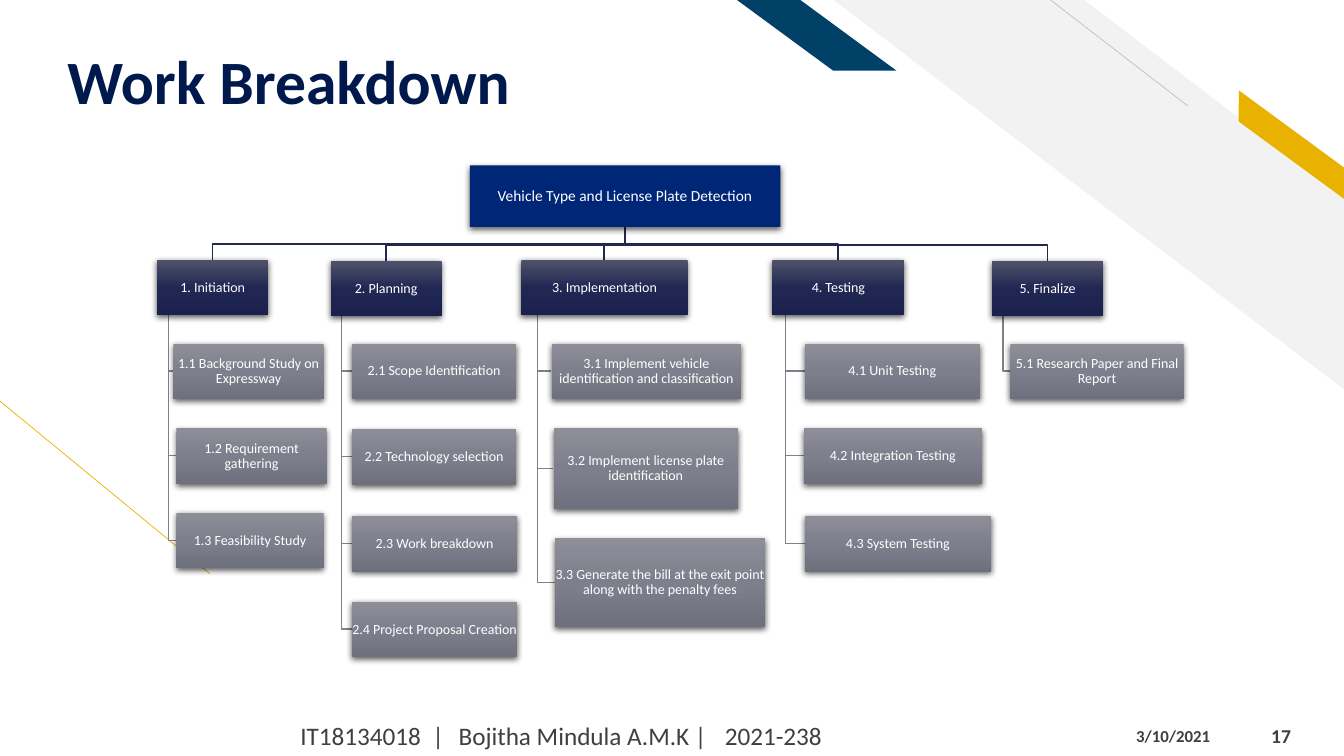
import copy
import pptx
import pptx.util
import pptx.dml.color
import pptx.enum.shapes
import pptx.enum.text
import pptx.oxml
import pptx.oxml.ns

PX = 9144  # EMU per px, 100 px to the inch
SHAPE = pptx.enum.shapes.MSO_SHAPE
ALIGN = pptx.enum.text.PP_ALIGN
ANCHOR = pptx.enum.text.MSO_ANCHOR
qn = pptx.oxml.ns.qn

TITLE = ("Work Breakdown", (57, 23, 1185, 94))
PROJECT = ("Vehicle Type and License Plate Detection", (466, 164, 308, 61))

# Each branch: name, box, then its tasks as (name, box); boxes are x, y, w, h
BRANCHES = [
    ("1. Initiation", (156, 258, 110, 55), [
        ("1.1 Background Study on Expressway", (172, 341, 149, 55)),
        ("1.2 Requirement gathering", (175, 425, 149, 55)),
        ("1.3 Feasibility Study", (175, 509, 146, 55))]),
    ("2. Planning", (328, 259, 110, 55), [
        ("2.1 Scope Identification", (349, 341, 163, 55)),
        ("2.2 Technology selection", (349, 426, 163, 55)),
        ("2.3 Work breakdown", (349, 512, 164, 55)),
        ("2.4 Project Proposal Creation", (349, 597, 164, 55))]),
    ("3. Implementation", (517, 258, 165, 55), [
        ("3.1 Implement vehicle identification and classification", (547, 341, 188, 55)),
        ("3.2 Implement license plate identification", (549, 425, 183, 80)),
        ("3.3 Generate the bill at the exit point along with the penalty fees",
         (550, 534, 209, 88))]),
    ("4. Testing", (766, 258, 131, 55), [
        ("4.1 Unit Testing", (798, 341, 174, 55)),
        ("4.2 Integration Testing", (797, 425, 177, 55)),
        ("4.3 System Testing", (798, 512, 185, 55))]),
    ("5. Finalize", (984, 259, 110, 55), [
        ("5.1 Research Paper and Final Report", (1002, 341, 172, 55))]),
]

AUTHOR = ("IT18134018\t|\tBojitha Mindula A.M.K |\t2021-238", (288, 710, 745, 40))
AUTHOR_TABS = [131, 157, 421]
DATE = ("3/10/2021", (1117, 715, 125, 30))
PAGE = ("17", (1251, 710, 74, 40))

# shape, box, rotation, adjustment, colour
STRIPES = [
    (SHAPE.DIAGONAL_STRIPE, (827, 0, 507, 387), 0, 0.51, "F2F2F2"),
    (SHAPE.PARALLELOGRAM, (1207, 131, 148, 25), 36.3, 0.72, "EAB200"),
    (SHAPE.PARALLELOGRAM, (731, 0, 158, 70), 0, 1.36, "014067"),
]
ACCENT_LINES = [((0, 398), (208, 569), "EAB200"), ((1042, 0), (1178, 105), "BFBFBF")]

PROJECT_FILL = ["002777"]
BRANCH_FILL = ["50526A", "202753", "1A214C"]
TASK_FILL = ["8D8E98", "7E7F8C", "6F707D"]
BUS_COLOUR, TRUNK_COLOUR = "222951", "7F808B"
BUS_GAP = 16  # from the bus line down to a branch

SHADOW = ('<a:outerShdw xmlns:a="http://schemas.openxmlformats.org/drawingml/2006/main" '
          'blurRad="57150" dist="19050" dir="5400000" algn="ctr" rotWithShape="0">'
          '<a:srgbClr val="000000"><a:alpha val="63000"/></a:srgbClr></a:outerShdw>')


def rgb(colour):
    return pptx.dml.color.RGBColor.from_string(colour)


def emu(lengths):
    return [n * PX for n in lengths]


def write(s, text, size, colour, anchor, bold=False, align=ALIGN.LEFT, spacing=1.0, insets=(10, 5, 10, 5)):
    tf = s.text_frame
    left, top, right, bottom = emu(insets)
    frame = dict(word_wrap=True, vertical_anchor=anchor, margin_left=left,
                 margin_top=top, margin_right=right, margin_bottom=bottom)
    p = tf.paragraphs[0]
    r = p.add_run()
    r.text = text
    r.font.color.rgb = rgb(colour)
    for target, values in (
            (tf, frame),
            (p, dict(alignment=align, line_spacing=spacing)),
            (r.font, dict(name="Calibri", size=pptx.util.Pt(size), bold=bold))):
        for name, value in values.items():
            setattr(target, name, value)
    return p


def add_label(shapes, item, *style, **options):
    text, box = item
    return write(shapes.add_textbox(*emu(box)), text, *style, **options)


def add_plain(shapes, kind, box):
    s = shapes.add_shape(kind, *emu(box))
    s.shadow.inherit = False
    s.line.fill.background()
    return s


def add_box(shapes, text, box, colours, size=10):
    """Shadowed box; several colours make a gradient from top to bottom."""
    s = add_plain(shapes, SHAPE.RECTANGLE, box)
    spPr = s.element.spPr
    if len(colours) == 1:
        s.fill.solid()
        s.fill.fore_color.rgb = rgb(colours[0])
    else:
        s.fill.gradient()
        s.fill.gradient_angle = 270
        stops = spPr.find(".//" + qn("a:gsLst"))
        stops.insert(1, copy.deepcopy(stops[0]))
        for i, stop in enumerate(s.fill.gradient_stops):
            stop.position = i / (len(colours) - 1)
            stop.color.rgb = rgb(colours[i])
    spPr.find(qn("a:effectLst")).append(pptx.oxml.parse_xml(SHADOW))
    write(s, text, size, "FFFFFF", ANCHOR.MIDDLE, align=ALIGN.CENTER, spacing=0.9, insets=(0, 0, 0, 0))


def add_elbow(shapes, points, colour):
    start, *rest = [emu(point) for point in points]
    builder = shapes.build_freeform(*start, scale=1.0)
    builder.add_line_segments(rest, close=False)
    s = builder.convert_to_shape()
    s.shadow.inherit = False
    s.fill.background()
    s.line.color.rgb = rgb(colour)
    s.line.width = pptx.util.Pt(1)


def add_decoration(shapes):
    for kind, box, rotation, adjustment, colour in STRIPES:
        s = add_plain(shapes, kind, box)
        s.adjustments[0] = adjustment
        s.rotation = rotation
        s.element.spPr.find(qn("a:xfrm")).set("flipH", "1")
        s.fill.solid()
        s.fill.fore_color.rgb = rgb(colour)
    for start, end, colour in ACCENT_LINES:
        s = shapes.add_connector(pptx.enum.shapes.MSO_CONNECTOR.STRAIGHT, *emu(start + end))
        s.line.color.rgb = rgb(colour)
        s.line.width = pptx.util.Pt(0.5)
        s.element.spPr.append(pptx.oxml.parse_xml(
            '<a:effectLst xmlns:a="http://schemas.openxmlformats.org/drawingml/2006/main"/>'))


def add_tree(shapes):
    px, py, pw, ph = PROJECT[1]
    root_x, root_y = px + pw // 2, py + ph
    for _, (x, y, w, h), tasks in BRANCHES:
        middle, bus = x + w // 2, y - BUS_GAP
        add_elbow(shapes, [(root_x, root_y), (root_x, bus), (middle, bus), (middle, y)], BUS_COLOUR)
        trunk = x + w // 10
        for _, (tx, ty, _, th) in tasks:
            task_y = ty + th // 2
            add_elbow(shapes, [(trunk, y + h), (trunk, task_y), (tx, task_y)], TRUNK_COLOUR)
    add_box(shapes, *PROJECT, PROJECT_FILL, size=11)
    for name, box, tasks in BRANCHES:
        add_box(shapes, name, box, BRANCH_FILL)
        for task, task_box in tasks:
            add_box(shapes, task, task_box, TASK_FILL)


def add_footer(shapes):
    add_label(shapes, PAGE, 14, "3F3F3F", ANCHOR.MIDDLE, bold=True)
    add_label(shapes, DATE, 12, "3F3F3F", ANCHOR.TOP, bold=True)
    p = add_label(shapes, AUTHOR, 18, "3F3F3F", ANCHOR.MIDDLE)
    tabs = "".join(f'<a:tab pos="{pos}" algn="l"/>' for pos in emu(AUTHOR_TABS))
    p.runs[0]._r.getparent().get_or_add_pPr().append(pptx.oxml.parse_xml(
        '<a:tabLst xmlns:a="http://schemas.openxmlformats.org/drawingml/2006/main">'
        f'{tabs}</a:tabLst>'))


def main():
    prs = pptx.Presentation()
    prs.slide_width, prs.slide_height = emu((1333, 750))
    shapes = prs.slides.add_slide(prs.slide_layouts[6]).shapes
    add_decoration(shapes)
    add_label(shapes, TITLE, 44, "00194C", ANCHOR.BOTTOM, bold=True, spacing=0.9, insets=(10, 5, 10, 0))
    add_tree(shapes)
    add_footer(shapes)
    prs.save("out.pptx")


if __name__ == "__main__":
    main()
